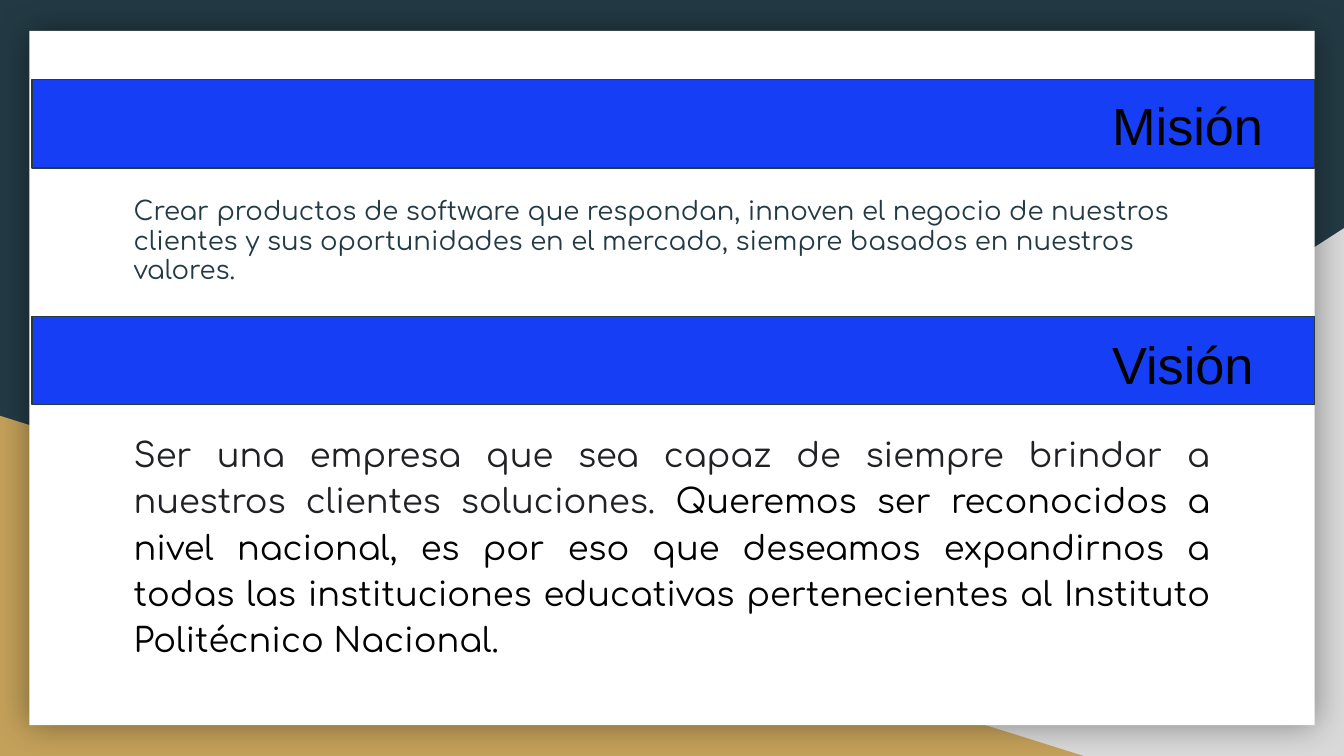
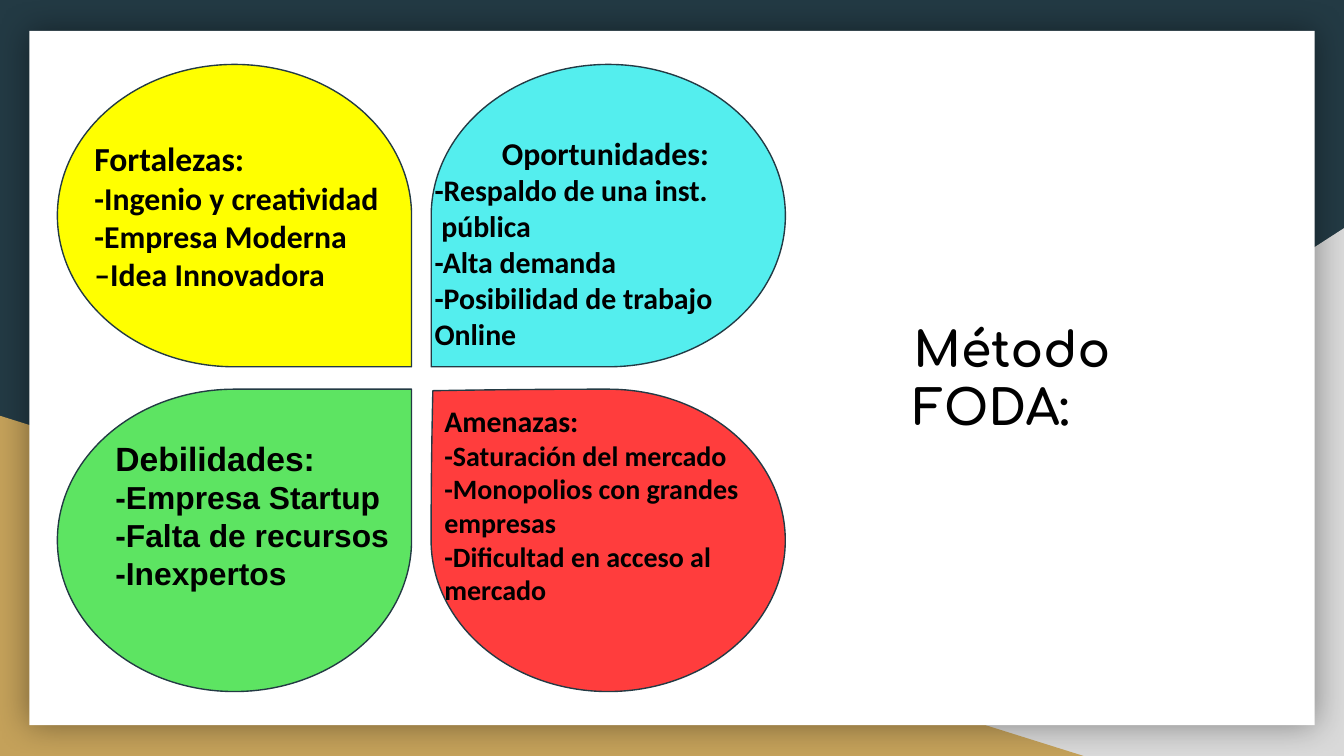
import pptx
import pptx.util
import pptx.dml.color
import pptx.enum.shapes
import pptx.enum.text
import pptx.oxml
import pptx.oxml.ns

SHAPES = pptx.enum.shapes.MSO_SHAPE
ALIGN = pptx.enum.text.PP_ALIGN
AUTO_SIZE = pptx.enum.text.MSO_AUTO_SIZE
PIXEL = 9525
INSET = pptx.util.Inches(0.1)
INK, NAVY, WHITE, BLUE = "000000", "233A44", "FFFFFF", "163EF5"
GREY, GOLD, CHARCOAL = "D9D9D9", "C4A15A", "202124"
SHADOW = (
    f'<a:outerShdw {pptx.oxml.ns.nsdecls("a")} blurRad="228600" dist="0" dir="0" '
    'algn="ctr" rotWithShape="0"><a:srgbClr val="000000">'
    '<a:alpha val="40000"/></a:srgbClr></a:outerShdw>'
)


def px(*lengths):
    return [length * PIXEL for length in lengths]


def paint(target, color):
    target.rgb = pptx.dml.color.RGBColor.from_string(color)


def assign(target, values):
    for name, value in values.items():
        setattr(target, name, value)


class Deck:
    def __init__(self):
        self.presentation = pptx.Presentation()
        width, height = px(960, 540)
        assign(self.presentation, {"slide_width": width, "slide_height": height})

    def add_slide(self):
        self.slide = self.presentation.slides.add_slide(self.presentation.slide_layouts[6])
        fill = self.slide.background.fill
        fill.solid()
        paint(fill.fore_color, NAVY)
        self.shape(SHAPES.RIGHT_TRIANGLE, (376, 163, 584, 377), GREY, flip=True)
        self.shape(SHAPES.RIGHT_TRIANGLE, (0, 297, 774, 243), GOLD)
        card = self.shape(SHAPES.RECTANGLE, (21, 22, 918, 496), WHITE)
        effects = card._element.spPr.find(pptx.oxml.ns.qn("a:effectLst"))
        effects.append(pptx.oxml.parse_xml(SHADOW))

    def shape(self, kind, box, fill, line=None, flip=False, rotation=0):
        shape = self.slide.shapes.add_shape(kind, *px(*box))
        shape.shadow.inherit = False
        shape.fill.solid()
        paint(shape.fill.fore_color, fill)
        if line:
            paint(shape.line.color, line)
            shape.line.width = pptx.util.Pt(0.75)
        else:
            shape.line.fill.background()
        if flip:
            shape._element.spPr.get_or_add_xfrm().set("flipH", "1")
        shape.rotation = rotation
        return shape

    def text(self, box, paragraphs, font, auto_size=AUTO_SIZE.NONE, **layout):
        frame = self.slide.shapes.add_textbox(*px(*box)).text_frame
        assign(frame, {"word_wrap": True, "auto_size": auto_size})
        assign(frame, {f"margin_{side}": INSET for side in ("left", "top", "right", "bottom")})
        for index, runs in enumerate(paragraphs):
            paragraph = frame.paragraphs[0] if index == 0 else frame.add_paragraph()
            assign(paragraph, layout)
            for words, size, color in runs:
                run = paragraph.add_run()
                run.text = words
                assign(run.font, {"size": pptx.util.Pt(size), **font})
                paint(run.font.color, color)
        return frame

    def band(self, top, title_top, title):
        self.shape(SHAPES.RECTANGLE, (23, top, 916, 63), BLUE, NAVY)
        self.text((785, title_top, 138, 78), [[(title, 28, INK)]], {"name": "Arial"})

    def body(self, top, height, runs, **layout):
        self.text((86, top, 788, height), [runs], {"name": "Comfortaa"}, **layout)

    def petal(self, column, row, fill, box, font_name, size, heading, items, corner=1):
        place = (41 + 267 * column, 46 + 232 * row, 253, 216)
        petal = self.shape(SHAPES.TEAR, place, fill, NAVY,
                           flip=column == row, rotation=180 * (1 - row))
        petal.adjustments[0] = corner
        lines = [[(heading, size, INK)]] + [[(item, size - 1, INK)] for item in items]
        return self.text(box, lines, {"name": font_name, "bold": True},
                         auto_size=AUTO_SIZE.SHAPE_TO_FIT_TEXT)


def add_mission_and_vision(deck):
    deck.add_slide()
    deck.band(226, 228, "Visión")
    deck.band(57, 57, "Misión")
    deck.body(131, 87, [(
        "Crear productos de software que respondan, innoven el negocio de nuestros clientes "
        "y sus oportunidades en el mercado, siempre basados en nuestros valores.", 13.9, NAVY,
    )], line_spacing=0.95, space_after=pptx.util.Pt(12))
    deck.body(296, 187, [
        ("Ser una empresa que sea capaz de siempre brindar a nuestros clientes soluciones. ",
         18, CHARCOAL),
        ("Queremos ser reconocidos a nivel nacional, es por eso que deseamos expandirnos a "
         "todas las instituciones educativas pertenecientes al Instituto Politécnico Nacional.",
         18, INK),
    ], line_spacing=1.15, alignment=ALIGN.JUSTIFY)


def add_swot(deck):
    deck.add_slide()
    deck.petal(0, 1, "5DE462", (73, 303, 222, 131), "Arial", 18, "Debilidades:",
               ["-Empresa Startup", "-Falta de recursos", "-Inexpertos"])
    deck.petal(1, 1, "FF3D3D", (308, 278, 267, 166), "Calibri", 16, "Amenazas:",
               ["-Saturación del mercado", "-Monopolios con grandes empresas",
                "-Dificultad en acceso al mercado"], corner=0.99)
    deck.petal(0, 0, "FFFF00", (58, 89, 253, 131), "Calibri", 18, "Fortalezas:",
               ["-Ingenio y creatividad", "-Empresa Moderna", "–Idea Innovadora"])
    opportunities = deck.petal(
        1, 0, "54EEEE", (301, 86, 260, 176), "Calibri", 17, "Oportunidades:",
        ["-Respaldo de una inst.", " pública", "-Alta demanda", "-Posibilidad de trabajo Online"])
    heading = opportunities.paragraphs[0]._p.get_or_add_pPr()
    heading.set("marL", "0")
    heading.set("indent", str(48 * PIXEL))
    deck.text((643, 218, 234, 104), [[("Método FODA:", 26, INK)]],
              {"name": "Comfortaa", "bold": True}, auto_size=AUTO_SIZE.SHAPE_TO_FIT_TEXT)


def main():
    deck = Deck()
    add_mission_and_vision(deck)
    add_swot(deck)
    deck.presentation.save("out.pptx")


if __name__ == "__main__":
    main()
